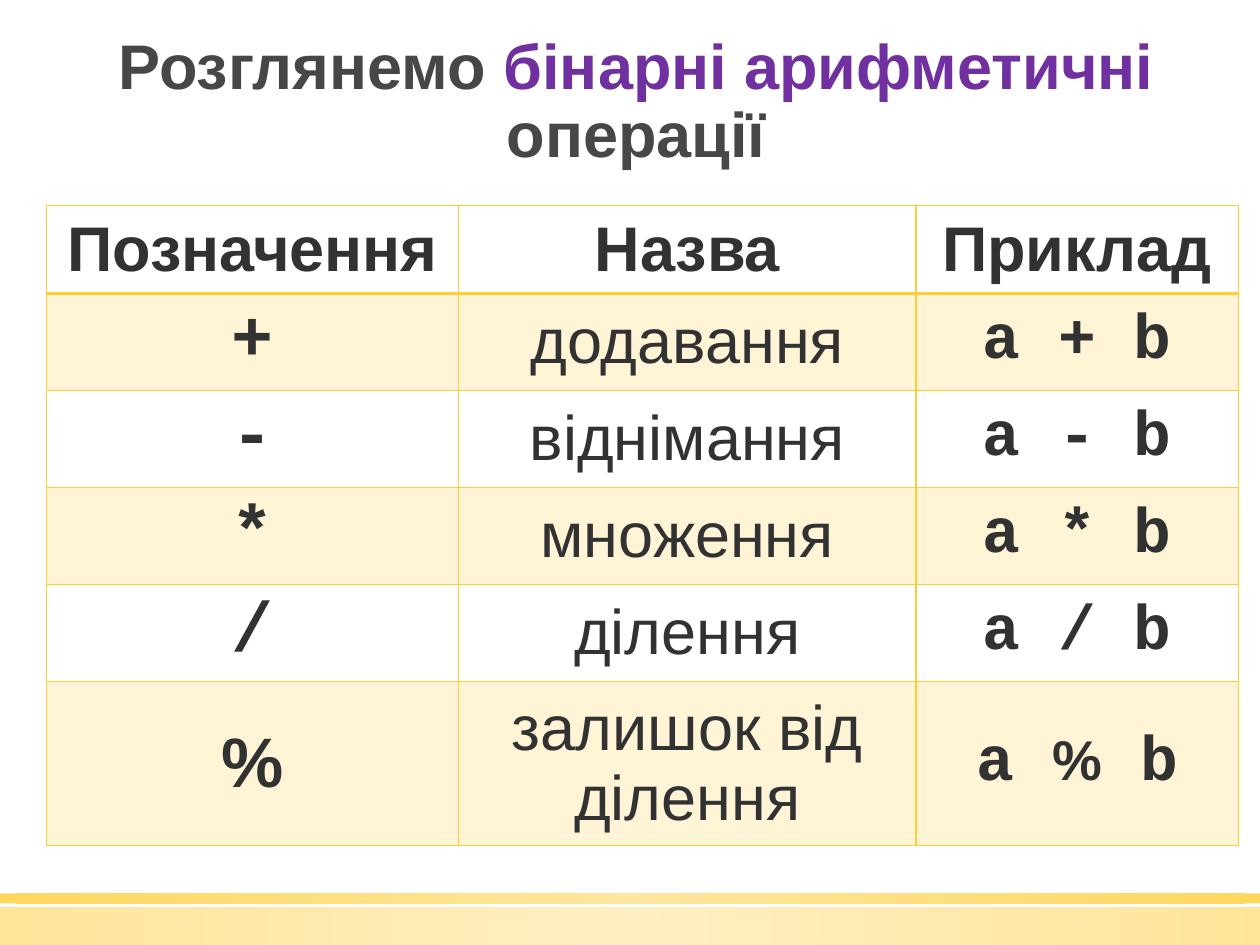
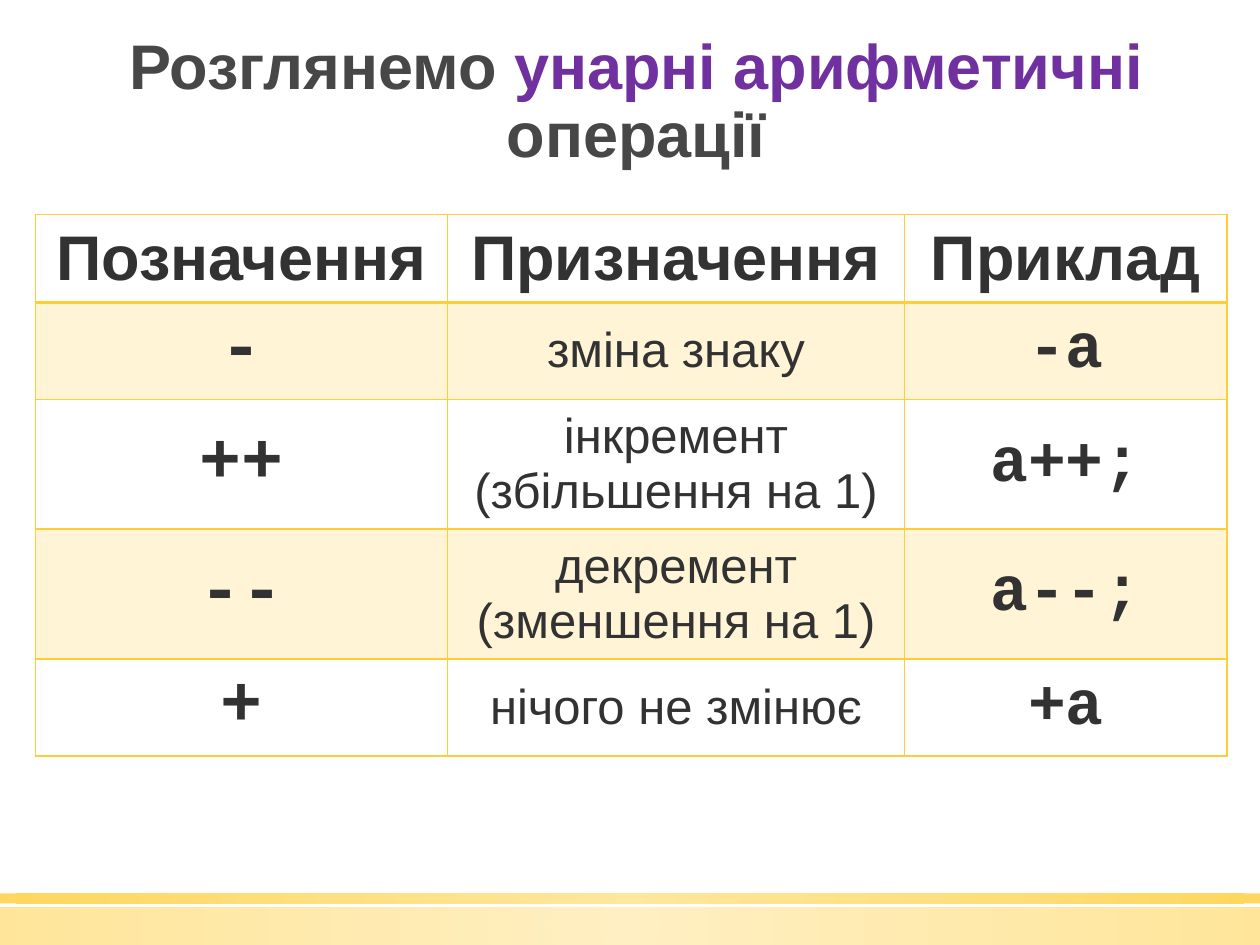
from dataclasses import dataclass
from itertools import product
from typing import NamedTuple

from lxml.etree import SubElement
from pptx import Presentation
from pptx.dml.color import RGBColor
from pptx.enum.shapes import MSO_SHAPE
from pptx.enum.text import MSO_ANCHOR, MSO_AUTO_SIZE, PP_ALIGN
from pptx.oxml.ns import qn
from pptx.util import Inches, Pt

SLIDE_WIDTH, SLIDE_HEIGHT = Inches(10), Inches(7.5)


# Shared look
@dataclass(frozen=True)
class Theme:
    title: str = "474747"
    accent: str = "7030A0"
    text: str = "323232"
    gold: str = "FFCD36"
    light_gold: str = "FFE186"
    sans: str = "Arial"
    mono: str = "Courier New"
    heading_size: int = 36
    symbol_size: int = 40
    compact_size: int = 28
    percent_size: int = 32
    stripe_opacity: int = 20


THEME = Theme()


class Style(NamedTuple):
    font: str
    size: int
    bold: bool = True


HEADING = Style(THEME.sans, THEME.heading_size)
SYMBOL = Style(THEME.mono, THEME.symbol_size)
SANS_SYMBOL = Style(THEME.sans, THEME.symbol_size)
MEANING = Style(THEME.sans, THEME.heading_size, False)
COMPACT_MEANING = Style(THEME.sans, THEME.compact_size, False)
CODE = Style(THEME.mono, THEME.heading_size)
SMALL_PERCENT = Style(THEME.sans, THEME.percent_size)


# Positions and sizes are percentages of the slide
class Band(NamedTuple):
    top: float
    height: float
    opacity: int


class Operation(NamedTuple):
    symbol: str
    meaning: str
    example: str
    height: float
    symbol_style: Style = SYMBOL


class OperationSlide(NamedTuple):
    topic: str
    left: float
    top: float
    headings: tuple[str, str, str]
    meaning_style: Style
    operations: list[Operation]


BANDS = [Band(96, 4, 50), Band(94.53, 1.07, 80)]
COLUMN_WIDTHS = [32.7, 36.3, 25.6]
HEADING_ROW, ONE_LINE, TWO_COMPACT_LINES, TWO_LINES = 9.33, 10.27, 13.73, 17.33

SLIDES = [
    OperationSlide(
        "бінарні арифметичні", 3.7, 21.73,
        ("Позначення", "Назва", "Приклад"), MEANING,
        [
            Operation("+", "додавання", "a + b", ONE_LINE),
            Operation("-", "віднімання", "a - b", ONE_LINE),
            Operation("*", "множення", "a * b", ONE_LINE),
            Operation("/", "ділення", "a / b", ONE_LINE),
            Operation("%", "залишок від ділення", "a % b", TWO_LINES, SANS_SYMBOL),
        ],
    ),
    OperationSlide(
        "унарні арифметичні", 2.8, 22.67,
        ("Позначення", "Призначення", "Приклад"), COMPACT_MEANING,
        [
            Operation("-", "зміна знаку", "-a", ONE_LINE),
            Operation("++", "інкремент (збільшення на 1)", "a++;", TWO_COMPACT_LINES),
            Operation("--", "декремент (зменшення на 1)", "a--;", TWO_COMPACT_LINES),
            Operation("+", "нічого не змінює", "+a", ONE_LINE),
        ],
    ),
]


def across(percent: float) -> int:
    return round(SLIDE_WIDTH * percent / 100)


def down(percent: float) -> int:
    return round(SLIDE_HEIGHT * percent / 100)


def set_font(font, style: Style, color: str) -> None:
    font.name, font.size, font.bold = style.font, Pt(style.size), style.bold
    font.color.rgb = RGBColor.from_string(color)


def set_opacity(element, percent: int) -> None:
    for color in element.iter(qn("a:srgbClr")):
        SubElement(color, qn("a:alpha")).set("val", str(percent * 1000))


# Footer bands, lighter in the middle
def add_band(slide, band: Band) -> None:
    shape = slide.shapes.add_shape(
        MSO_SHAPE.RECTANGLE, 0, down(band.top), SLIDE_WIDTH, down(band.height))
    shape.shadow.inherit = False
    shape.line.fill.background()
    shape.fill.gradient()
    for stop, color in zip(shape.fill.gradient_stops, (THEME.light_gold, THEME.gold)):
        stop.color.rgb = RGBColor.from_string(color)
    gradient = shape._element.spPr.find(qn("a:gradFill"))
    set_opacity(gradient, band.opacity)
    gradient.remove(gradient.find(qn("a:lin")))
    circle = SubElement(gradient, qn("a:path"))
    circle.set("path", "circle")
    center = SubElement(circle, qn("a:fillToRect"))
    for side in "ltrb":
        center.set(side, "50000")


# Title with its topic in the accent colour
def set_title(slide, topic: str) -> None:
    title = slide.shapes.title
    title.left, title.top = across(2.2), down(3.07)
    title.width, title.height = across(96.1), down(37.47)
    frame = title.text_frame
    frame.word_wrap = True
    frame.auto_size = MSO_AUTO_SIZE.NONE
    frame.vertical_anchor = MSO_ANCHOR.TOP
    paragraph = frame.paragraphs[0]
    paragraph.alignment = PP_ALIGN.CENTER
    paragraph.line_spacing = 0.9
    paragraph._p.get_or_add_pPr().set("marL", str(Inches(0.05)))
    set_font(paragraph.font, HEADING, THEME.title)
    for text, color in (("Розглянемо ", THEME.title), (topic, THEME.accent),
                        (" операції", THEME.title)):
        run = paragraph.add_run()
        run.text = text
        set_font(run.font, HEADING, color)


# Table of operations
def set_borders(cell, row: int) -> None:
    properties = cell._tc.get_or_add_tcPr()
    for side in "LRTB":
        heading_rule = (row, side) in ((0, "B"), (1, "T"))
        line = SubElement(properties, qn(f"a:ln{side}"))
        line.set("w", str(Pt(2 if heading_rule else 1)))
        fill = SubElement(line, qn("a:solidFill"))
        SubElement(fill, qn("a:srgbClr")).set("val", THEME.gold)


def fill_cell(cell, row: int, text: str, style: Style) -> None:
    set_borders(cell, row)
    if row % 2:
        cell.fill.solid()
        cell.fill.fore_color.rgb = RGBColor.from_string(THEME.gold)
        set_opacity(cell._tc.tcPr.find(qn("a:solidFill")), THEME.stripe_opacity)
    else:
        cell.fill.background()
    cell.vertical_anchor = MSO_ANCHOR.MIDDLE
    paragraph = cell.text_frame.paragraphs[0]
    paragraph.alignment = PP_ALIGN.CENTER
    set_font(paragraph.font, style, THEME.text)
    # The percent sign inside a code example is smaller and sans serif
    before, percent, after = text.partition("%") if style == CODE else (text, "", "")
    for part, part_style in ((before, style), (percent, SMALL_PERCENT), (after, style)):
        if part:
            run = paragraph.add_run()
            run.text = part
            set_font(run.font, part_style, THEME.text)


def add_operation_table(slide, content: OperationSlide) -> None:
    heights = [HEADING_ROW, *(operation.height for operation in content.operations)]
    table = slide.shapes.add_table(
        len(heights), len(COLUMN_WIDTHS), across(content.left), down(content.top),
        across(sum(COLUMN_WIDTHS)), down(sum(heights))).table
    table.horz_banding = False
    for column, width in zip(table.columns, COLUMN_WIDTHS):
        column.width = across(width)
    for row, height in zip(table.rows, heights):
        row.height = down(height)

    texts = [content.headings, *(operation[:3] for operation in content.operations)]
    styles = [(HEADING,) * 3, *((operation.symbol_style, content.meaning_style, CODE)
                                for operation in content.operations)]
    for row, column in product(range(len(heights)), range(len(COLUMN_WIDTHS))):
        fill_cell(table.cell(row, column), row, texts[row][column], styles[row][column])


def main() -> None:
    presentation = Presentation()
    presentation.slide_width, presentation.slide_height = SLIDE_WIDTH, SLIDE_HEIGHT
    title_only = presentation.slide_layouts[5]
    for content in SLIDES:
        slide = presentation.slides.add_slide(title_only)
        for band in BANDS:
            add_band(slide, band)
        set_title(slide, content.topic)
        add_operation_table(slide, content)
    presentation.save("out.pptx")


if __name__ == "__main__":
    main()
